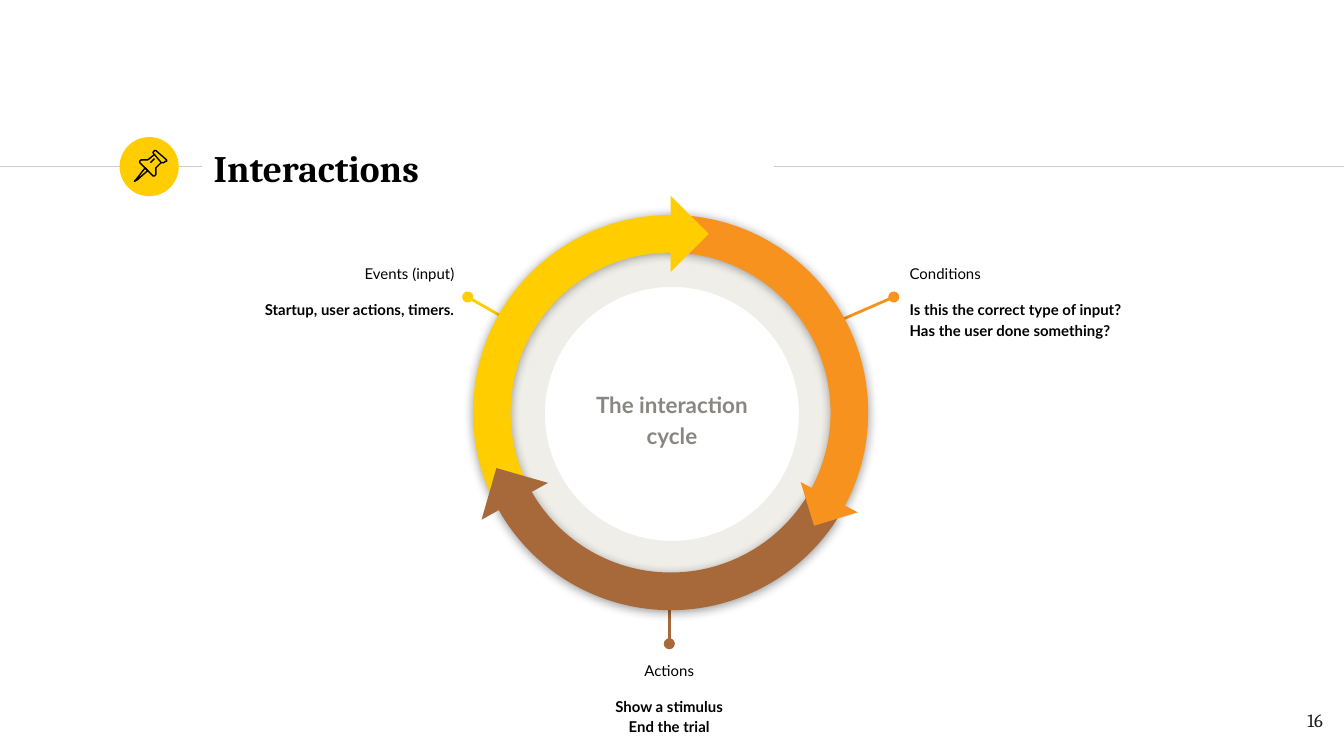
"""Build the Interactions slide: a three-arrow cycle with a callout for each step."""
from lxml import etree
from pptx import Presentation
from pptx.dml.color import RGBColor
from pptx.enum.shapes import MSO_CONNECTOR, MSO_SHAPE
from pptx.enum.text import MSO_ANCHOR, PP_ALIGN
from pptx.oxml.ns import qn
from pptx.util import Inches, Pt

STRAIGHT = MSO_CONNECTOR.STRAIGHT
ELLIPSE, DONUT = MSO_SHAPE.OVAL, MSO_SHAPE.DONUT
ARC, TRIANGLE = MSO_SHAPE.BLOCK_ARC, MSO_SHAPE.RIGHT_TRIANGLE
LEFT, CENTER, RIGHT = PP_ALIGN.LEFT, PP_ALIGN.CENTER, PP_ALIGN.RIGHT
TOP, MIDDLE = MSO_ANCHOR.TOP, MSO_ANCHOR.MIDDLE

THEME = {
    "yellow": "FFCD00", "orange": "F6921D", "brown": "A7693A",
    "black": "000000", "ink": "1D1D1B", "grey": "8A8682",
    "rule": "CCCCCC", "ring": "F0EEE9",
    "heading": "Cambria", "body": "Lato",
    "title_size": 20, "center_size": 12, "number_size": 10, "callout_size": 8,
    "thin": 0.75, "thick": 1.5, "line_spacing": 1.15, "heading_gap": 8.3,
}
TITLE = "Interactions"
CENTER_TEXT = "The interaction cycle"
PAGE_NUMBER = "16"
RULES = [((0, 1.24), (1.5, 1.24)), ((5.76, 1.24), (10, 1.24))]
CALLOUTS = [
    {"heading": "Events (input)", "details": ["Startup, user actions, timers."],
     "box": (1.84, 1.85, 1.64, 0.73), "align": RIGHT, "color": "yellow",
     "pointer": ((3.48, 2.21), (3.95, 2.48))},
    {"heading": "Conditions",
     "details": ["Is this the correct type of input?", "Has the user done something?"],
     "box": (6.67, 1.85, 2.14, 0.73), "align": LEFT, "color": "orange",
     "pointer": ((6.65, 2.21), (6.03, 2.48))},
    {"heading": "Actions", "details": ["Show a stimulus", "End the trial"],
     "box": (4.16, 4.8, 1.64, 0.73), "align": CENTER, "color": "brown",
     "pointer": ((4.98, 4.79), (4.98, 4.28))},
]
CYCLE_BOX = (3.52, 1.6, 2.94, 2.94)
BAND = 0.28 / 2.94
CYCLE = [
    {"kind": ARC, "box": CYCLE_BOX, "color": "orange", "rotation": 30,
     "adjustments": (144.14, 0.01, BAND), "shadow": True},
    {"kind": ARC, "box": CYCLE_BOX, "color": "yellow", "rotation": 330, "flip": True,
     "adjustments": (143.49, 214.73, BAND), "shadow": True},
    {"kind": TRIANGLE, "box": (4.79, 1.54, 0.4, 0.4), "color": "yellow", "rotation": 225},
    {"kind": ARC, "box": CYCLE_BOX, "color": "brown", "rotation": 210, "flip": True,
     "adjustments": (143.16, 215.03, BAND), "shadow": True},
    {"kind": TRIANGLE, "box": (6, 3.53, 0.34, 0.34), "color": "orange", "rotation": 342.9},
    {"kind": TRIANGLE, "box": (3.63, 3.53, 0.4, 0.4), "color": "brown", "rotation": 106},
]
PIN_PARTS = [
    ([(1.08, 1.25), (1.01, 1.34), (1, 1.35), (1.02, 1.34), (1.1, 1.27)], True),
    ([(1.15, 1.15), (1.2, 1.21), (1.22, 1.21), (1.23, 1.2), (1.24, 1.2),
      (1.24, 1.19), (1.16, 1.12), (1.15, 1.12), (1.14, 1.13), (1.14, 1.14)], True),
    ([(1.15, 1.15), (1.1, 1.19), (1.07, 1.19), (1.05, 1.19), (1.04, 1.2),
      (1.04, 1.21), (1.14, 1.31), (1.15, 1.31), (1.16, 1.3), (1.16, 1.28),
      (1.16, 1.25), (1.2, 1.21)], False),
    ([(1.12, 1.21), (1.15, 1.18)], False),
]


def inches(values):
    return [Inches(value) for value in values]


def color_of(name):
    return RGBColor.from_string(THEME[name])


def prepare_frame(shape, anchor=TOP):
    frame = shape.text_frame
    frame.word_wrap = True
    frame.vertical_anchor = anchor
    frame.margin_left = frame.margin_right = Inches(0.1)
    frame.margin_top = frame.margin_bottom = Inches(0.1)
    return frame


def write_text(frame, text, *, size, color="black", font="body", bold=False,
               align=LEFT, spacing=1.0, before=0):
    paragraph = frame.add_paragraph() if frame.text else frame.paragraphs[0]
    paragraph.alignment = align
    paragraph.line_spacing = spacing
    paragraph.space_before = Pt(before)
    run = paragraph.add_run()
    run.text = text
    run.font.name = THEME[font]
    run.font.size = Pt(THEME[size])
    run.font.bold = bold
    run.font.color.rgb = color_of(color)


def add_line(shapes, start, end, color, width, dotted=False):
    connector = shapes.add_connector(STRAIGHT, *inches(start + end))
    connector.line.color.rgb = color_of(color)
    connector.line.width = Pt(THEME[width])
    properties = connector.element.spPr
    if dotted:
        etree.SubElement(properties.find(qn("a:ln")), qn("a:headEnd"), type="oval")
    etree.SubElement(properties, qn("a:effectLst"))


def add_filled(shapes, kind, box, color, rotation=0, flip=False, adjustments=(), shadow=False):
    shape = shapes.add_shape(kind, *inches(box))
    shape.fill.solid()
    shape.fill.fore_color.rgb = color_of(color)
    shape.line.fill.background()
    shape.shadow.inherit = False
    shape.rotation = rotation
    for index, value in enumerate(adjustments):
        shape.adjustments[index] = value
    properties = shape.element.spPr
    if flip:
        properties.find(qn("a:xfrm")).set("flipH", "1")
    if shadow:
        outer = etree.SubElement(
            properties.find(qn("a:effectLst")), qn("a:outerShdw"),
            blurRad=str(Pt(5.6)), dist=str(Pt(0.8)), dir="5400000", rotWithShape="0")
        shade = etree.SubElement(outer, qn("a:srgbClr"), val=THEME["black"])
        etree.SubElement(shade, qn("a:alpha"), val="40000")


def add_pin(shapes):
    group = shapes.add_group_shape()
    for points, closed in PIN_PARTS:
        start, *rest = [inches(point) for point in points]
        builder = group.shapes.build_freeform(*start)
        builder.add_line_segments(rest, close=closed)
        part = builder.convert_to_shape()
        part.fill.background()
        part.line.color.rgb = color_of("black")
        part.line.width = Pt(THEME["thin"])
        part.shadow.inherit = False


def add_callout(shapes, callout):
    group = shapes.add_group_shape()
    add_line(group.shapes, *callout["pointer"], callout["color"], "thick", dotted=True)
    frame = prepare_frame(group.shapes.add_textbox(*inches(callout["box"])))
    style = {"size": "callout_size", "align": callout["align"],
             "spacing": THEME["line_spacing"]}
    write_text(frame, callout["heading"], **style)
    for index, detail in enumerate(callout["details"]):
        gap = 0 if index else THEME["heading_gap"]
        write_text(frame, detail, bold=True, before=gap, **style)


def main():
    presentation = Presentation()
    presentation.slide_width = Inches(10)
    presentation.slide_height = Inches(10 * 9 / 16)
    slide = presentation.slides.add_slide(presentation.slide_layouts[5])
    shapes = slide.shapes

    for start, end in RULES:
        add_line(shapes, start, end, "rule", "thin")
    add_filled(shapes, ELLIPSE, (0.89, 1.02, 0.44, 0.44), "yellow")
    add_pin(shapes)

    title = shapes.title
    title.left, title.top, title.width, title.height = inches((1.49, 1.01, 4.25, 0.48))
    write_text(prepare_frame(title, MIDDLE), TITLE, size="title_size",
               font="heading", bold=True)
    number = shapes.add_textbox(*inches((9.34, 5.19, 0.6, 0.43)))
    write_text(prepare_frame(number), PAGE_NUMBER, size="number_size",
               font="heading", color="ink", align=RIGHT)

    add_filled(shapes, DONUT, (3.61, 1.69, 2.78, 2.78), "ring", adjustments=(0.16,))
    for callout in CALLOUTS:
        add_callout(shapes, callout)
    center = shapes.add_textbox(*inches((4.21, 2.67, 1.58, 0.88)))
    write_text(prepare_frame(center, MIDDLE), CENTER_TEXT, size="center_size",
               color="grey", bold=True, align=CENTER, spacing=THEME["line_spacing"])
    for part in CYCLE:
        add_filled(shapes, **part)

    presentation.save("out.pptx")


if __name__ == "__main__":
    main()
